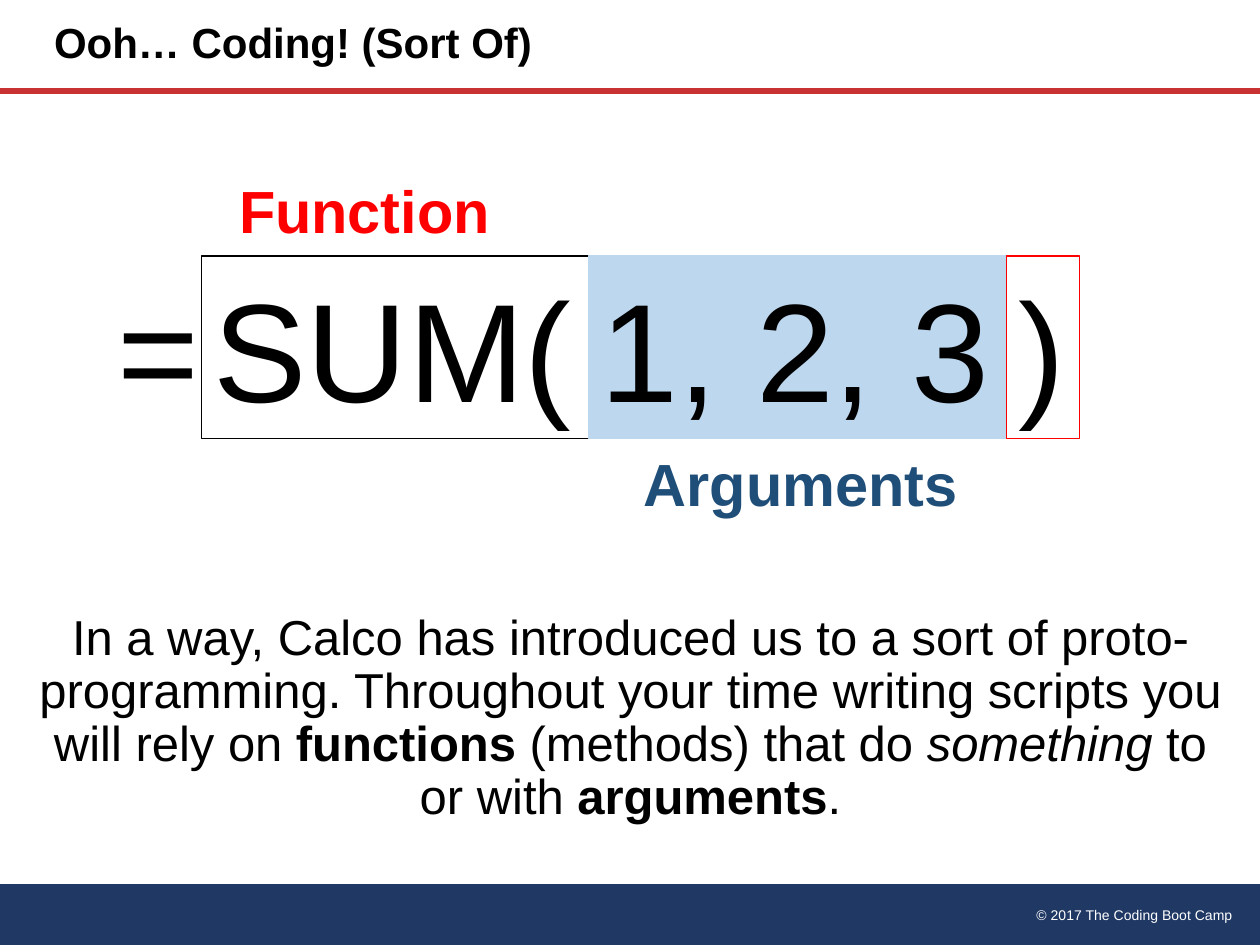
from lxml import etree
from pptx import Presentation
from pptx.dml.color import RGBColor
from pptx.enum.shapes import MSO_CONNECTOR, MSO_SHAPE
from pptx.enum.text import MSO_ANCHOR, MSO_AUTO_SIZE, PP_ALIGN
from pptx.oxml.ns import qn
from pptx.util import Cm, Pt

LEFT, CENTER, RIGHT = PP_ALIGN.LEFT, PP_ALIGN.CENTER, PP_ALIGN.RIGHT
TOP, MIDDLE = MSO_ANCHOR.TOP, MSO_ANCHOR.MIDDLE
FIT, NO_FIT = MSO_AUTO_SIZE.SHAPE_TO_FIT_TEXT, MSO_AUTO_SIZE.NONE
RECTANGLE, PROCESS = MSO_SHAPE.RECTANGLE, MSO_SHAPE.FLOWCHART_PROCESS

COLORS = {
    "black": "000000", "white": "FFFFFF", "red": "FF0000", "rule": "C83232",
    "footer": "203864", "argument": "1F4E79", "argument fill": "BDD7EE",
}
SLIDE_WIDTH, SLIDE_HEIGHT = 25.4, 19.05
FORMULA_TOP, FORMULA_HEIGHT, FORMULA_LEFT = 5.16, 3.68, 4.06
RULE_TOP = 1.83

# Formula parts from left to right: text, width, fill, outline
FORMULA_PARTS = [
    ("SUM(", 7.8, None, "black"),
    ("1, 2, 3", 8.43, "argument fill", "argument fill"),
    (")", 1.47, None, "red"),
]
EXPLANATION = [
    ("In a way, Calco has introduced us to a sort of proto-programming. "
     "Throughout your time writing scripts you will rely on ", {}),
    ("functions", {"bold": True}),
    (" (methods) that do ", {}),
    ("something ", {"italic": True}),
    ("to or with ", {}),
    ("arguments", {"bold": True}),
    (".", {}),
]

FORMULA = {"size": 80}
LABEL = {"size": 34, "bold": True}
GROWING = {"word_wrap": False, "auto_size": FIT}
FIXED = {"word_wrap": True, "auto_size": NO_FIT, "vertical_anchor": MIDDLE}
TIGHT = {"line_spacing": 0.9}

# Text boxes: runs, (left, top, width, height), colour, font, frame, paragraph
TEXT_BOXES = [
    ([("© 2017 The Coding Boot Camp", {})], (17.35, 18.16, 7.75, 0.61), "white",
     {"size": 8}, {"word_wrap": True, "auto_size": FIT}, {"alignment": RIGHT}),
    ([("Ooh… Coding! (Sort Of)", {})], (0.84, 0, 15.19, RULE_TOP), "black",
     {"size": 24, "bold": True}, FIXED, TIGHT),
    ([("Function", {})], (4.57, 3.38, 5.61, 1.7), "red", LABEL, GROWING, {}),
    ([("Arguments", {})], (12.73, 8.89, 6.91, 1.7), "argument", LABEL, GROWING, {}),
    (EXPLANATION, (0.43, 11.86, 24.56, 5.28), "black", {"size": 28}, FIXED,
     {"alignment": CENTER, **TIGHT}),
    ([("=", {})], (2.11, FORMULA_TOP, 2.18, FORMULA_HEIGHT), "black", FORMULA, GROWING, {}),
]


def color(name):
    return RGBColor.from_string(COLORS[name])


def set_attributes(target, values):
    for name, value in values.items():
        setattr(target, name, value)


def write_text(shape, runs, color_name, font, frame_format, paragraph_format):
    frame = shape.text_frame
    set_attributes(frame, {"vertical_anchor": TOP, **frame_format})
    paragraph = frame.paragraphs[0]
    set_attributes(paragraph, {"alignment": LEFT, **paragraph_format})
    for text, emphasis in runs:
        run = paragraph.add_run()
        run.text = text
        values = {"name": "Arial", **font, **emphasis}
        values["size"] = Pt(values["size"])
        set_attributes(run.font, values)
        run.font.color.rgb = color(color_name)


def add_box(slide, kind, place, fill, outline):
    shape = slide.shapes.add_shape(kind, *map(Cm, place))
    shape.shadow.inherit = False
    if fill:
        shape.fill.solid()
        shape.fill.fore_color.rgb = color(fill)
    else:
        shape.fill.background()
    if outline:
        shape.line.color.rgb = color(outline)
        shape.line.width = Pt(0.75)
    else:
        shape.line.fill.background()
    return shape


def add_rule(slide):
    rule = slide.shapes.add_connector(
        MSO_CONNECTOR.STRAIGHT, Cm(0), Cm(RULE_TOP), Cm(SLIDE_WIDTH), Cm(RULE_TOP))
    rule.line.color.rgb = color("rule")
    rule.line.width = Pt(3.25)
    etree.SubElement(rule.line._get_or_add_ln().getparent(), qn("a:effectLst"))


def main():
    presentation = Presentation()
    presentation.slide_width = Cm(SLIDE_WIDTH)
    presentation.slide_height = Cm(SLIDE_HEIGHT)
    slide = presentation.slides.add_slide(presentation.slide_layouts[6])

    add_box(slide, PROCESS, (0, 17.83, SLIDE_WIDTH, 1.27), "footer", None)
    add_rule(slide)

    left = FORMULA_LEFT
    for text, width, fill, outline in FORMULA_PARTS:
        place = (left, FORMULA_TOP, width, FORMULA_HEIGHT)
        part = add_box(slide, RECTANGLE, place, fill, outline)
        write_text(part, [(text, {})], "black", FORMULA, GROWING, {})
        left += width

    for runs, place, *text_format in TEXT_BOXES:
        text_box = slide.shapes.add_textbox(*map(Cm, place))
        write_text(text_box, runs, *text_format)

    presentation.save("out.pptx")


if __name__ == "__main__":
    main()
